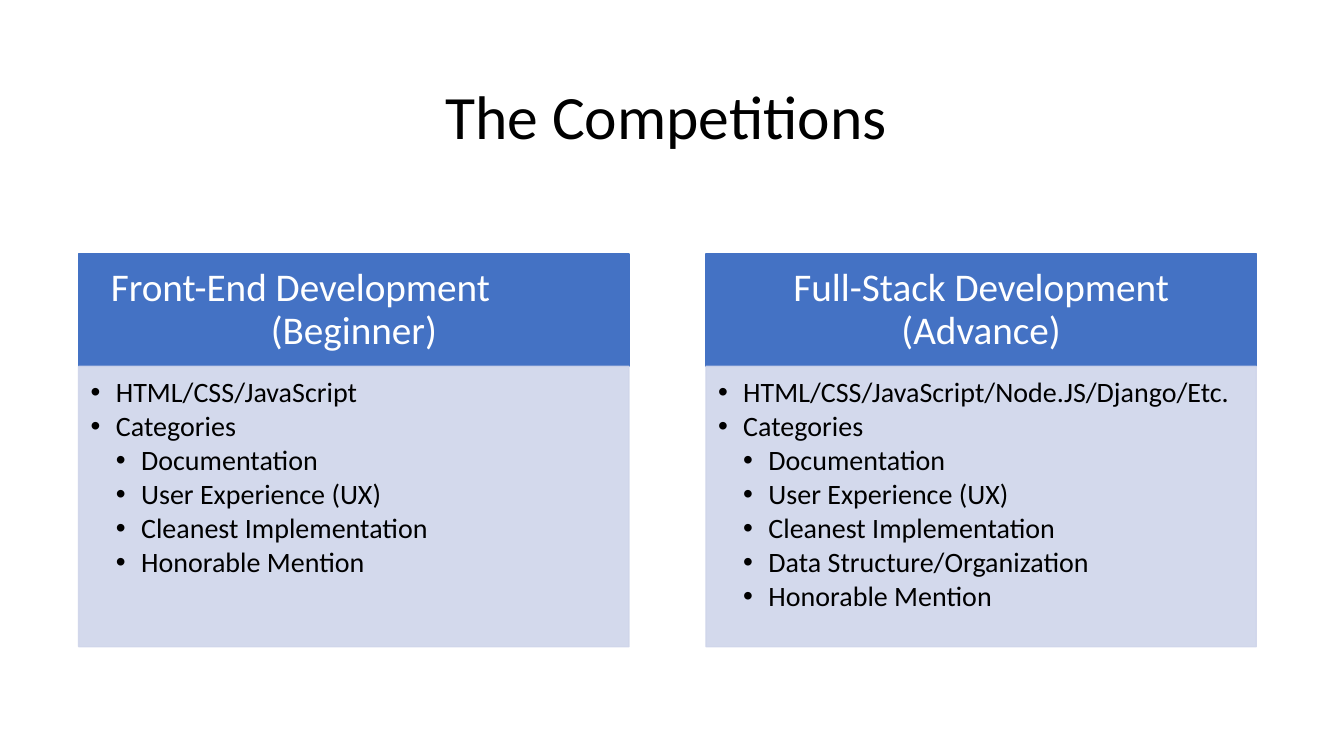
from dataclasses import dataclass

from lxml.etree import SubElement
from pptx import Presentation
from pptx.dml.color import RGBColor
from pptx.enum.shapes import MSO_SHAPE
from pptx.enum.text import MSO_ANCHOR, PP_ALIGN
from pptx.oxml.ns import qn
from pptx.shapes.autoshape import Shape
from pptx.slide import Slide
from pptx.text.text import TextFrame, _Paragraph as Paragraph
from pptx.util import Length, Pt


@dataclass(frozen=True)
class Theme:
    font: str = "Calibri"
    ink: RGBColor = RGBColor(0x00, 0x00, 0x00)
    header_ink: RGBColor = RGBColor(0xFF, 0xFF, 0xFF)
    header_fill: RGBColor = RGBColor(0x44, 0x72, 0xC4)
    body_fill: RGBColor = RGBColor(0xCF, 0xD5, 0xEA)
    body_opacity: int = 90
    title_size: Length = Pt(44)
    header_size: Length = Pt(28)
    body_size: Length = Pt(20)
    line_spacing: float = 0.9
    item_gap: Length = Pt(2.7)


@dataclass(frozen=True)
class HeaderLine:
    text: str
    alignment: PP_ALIGN = PP_ALIGN.CENTER
    indent: Length = Pt(0)


@dataclass(frozen=True)
class Competition:
    header: tuple[HeaderLine, ...]
    technologies: str
    categories: tuple[str, ...]


THEME = Theme()
COLUMN_LEFT, COLUMN_WIDTH, COLUMN_STEP = Pt(56.2), Pt(393.1), Pt(448.1)
HEADER_TOP, HEADER_HEIGHT, BODY_HEIGHT = Pt(181.4), Pt(80.3), Pt(200.3)
BULLET_STEP = Pt(18)

COMPETITIONS = (
    Competition(
        (HeaderLine("Front-End Development", PP_ALIGN.LEFT, Pt(7.2)), HeaderLine("(Beginner)")),
        "HTML/CSS/JavaScript",
        ("Documentation", "User Experience (UX)", "Cleanest Implementation",
         "Honorable Mention"),
    ),
    Competition(
        (HeaderLine("Full-Stack Development (Advance)"),),
        "HTML/CSS/JavaScript/Node.JS/Django/Etc.",
        ("Documentation", "User Experience (UX)", "Cleanest Implementation",
         "Data Structure/Organization", "Honorable Mention"),
    ),
)


def write(paragraph: Paragraph, text: str, size: Length, color: RGBColor,
          alignment: PP_ALIGN) -> None:
    paragraph.alignment = alignment
    paragraph.line_spacing = THEME.line_spacing
    run = paragraph.add_run()
    run.text = text
    run.font.name = THEME.font
    run.font.size = size
    run.font.color.rgb = color


def next_paragraph(frame: TextFrame, index: int) -> Paragraph:
    """Give the frame's own first paragraph, then new ones."""
    return frame.paragraphs[0] if index == 0 else frame.add_paragraph()


def set_margins(frame: TextFrame, left: Length, top: Length, right: Length,
                bottom: Length) -> None:
    frame.margin_left, frame.margin_top = left, top
    frame.margin_right, frame.margin_bottom = right, bottom


def add_box(slide: Slide, left: Length, top: Length, height: Length, color: RGBColor) -> Shape:
    box = slide.shapes.add_shape(MSO_SHAPE.RECTANGLE, left, top, COLUMN_WIDTH, height)
    box.shadow.inherit = False
    box.fill.solid()
    box.fill.fore_color.rgb = color
    box.line.color.rgb = color
    box.line.width = Pt(1)
    box.text_frame.word_wrap = True
    return box


def set_opacity(shape: Shape, percent: int) -> None:
    """Apply the opacity to both the fill and the outline."""
    for color in shape.element.spPr.iter(qn("a:srgbClr")):
        SubElement(color, qn("a:alpha"), val=str(percent * 1000))


def add_bullet(paragraph: Paragraph, level: int) -> None:
    paragraph.level = level
    properties = paragraph._p.get_or_add_pPr()
    properties.set("marL", str(BULLET_STEP * level))
    properties.set("indent", str(-BULLET_STEP))
    SubElement(properties, qn("a:buFont"), typeface="Arial")
    SubElement(properties, qn("a:buChar"), char="•")


def add_header(slide: Slide, left: Length, lines: tuple[HeaderLine, ...]) -> None:
    frame = add_box(slide, left, HEADER_TOP, HEADER_HEIGHT, THEME.header_fill).text_frame
    frame.vertical_anchor = MSO_ANCHOR.MIDDLE
    set_margins(frame, Pt(15.8), Pt(8.6), Pt(15.8), Pt(8.6))
    for index, line in enumerate(lines):
        paragraph = next_paragraph(frame, index)
        write(paragraph, line.text, THEME.header_size, THEME.header_ink, line.alignment)
        paragraph._p.get_or_add_pPr().set("marL", str(line.indent))


def add_body(slide: Slide, left: Length, competition: Competition) -> None:
    box = add_box(slide, left, HEADER_TOP + HEADER_HEIGHT, BODY_HEIGHT, THEME.body_fill)
    set_opacity(box, THEME.body_opacity)
    frame = box.text_frame
    frame.vertical_anchor = MSO_ANCHOR.TOP
    set_margins(frame, Pt(8.6), Pt(8.6), Pt(11.5), Pt(12.2))
    items = [(competition.technologies, 1), ("Categories", 1)]
    items += [(category, 2) for category in competition.categories]
    for index, (text, level) in enumerate(items):
        paragraph = next_paragraph(frame, index)
        write(paragraph, text, THEME.body_size, THEME.ink, PP_ALIGN.LEFT)
        paragraph.space_before = Pt(0)
        paragraph.space_after = THEME.item_gap
        add_bullet(paragraph, level)


def set_title(slide: Slide, text: str) -> None:
    title = slide.shapes.title
    title.left, title.top, title.width, title.height = Pt(61.9), Pt(33.1), Pt(828), Pt(104.4)
    title.text_frame.vertical_anchor = MSO_ANCHOR.MIDDLE
    write(title.text_frame.paragraphs[0], text, THEME.title_size, THEME.ink, PP_ALIGN.CENTER)


def main() -> None:
    presentation = Presentation()
    presentation.slide_width, presentation.slide_height = Pt(960), Pt(540)
    slide = presentation.slides.add_slide(presentation.slide_layouts.get_by_name("Title Only"))
    set_title(slide, "The Competitions")
    for column, competition in enumerate(COMPETITIONS):
        left = COLUMN_LEFT + column * COLUMN_STEP
        add_header(slide, left, competition.header)
        add_body(slide, left, competition)
    presentation.save("out.pptx")


if __name__ == "__main__":
    main()
